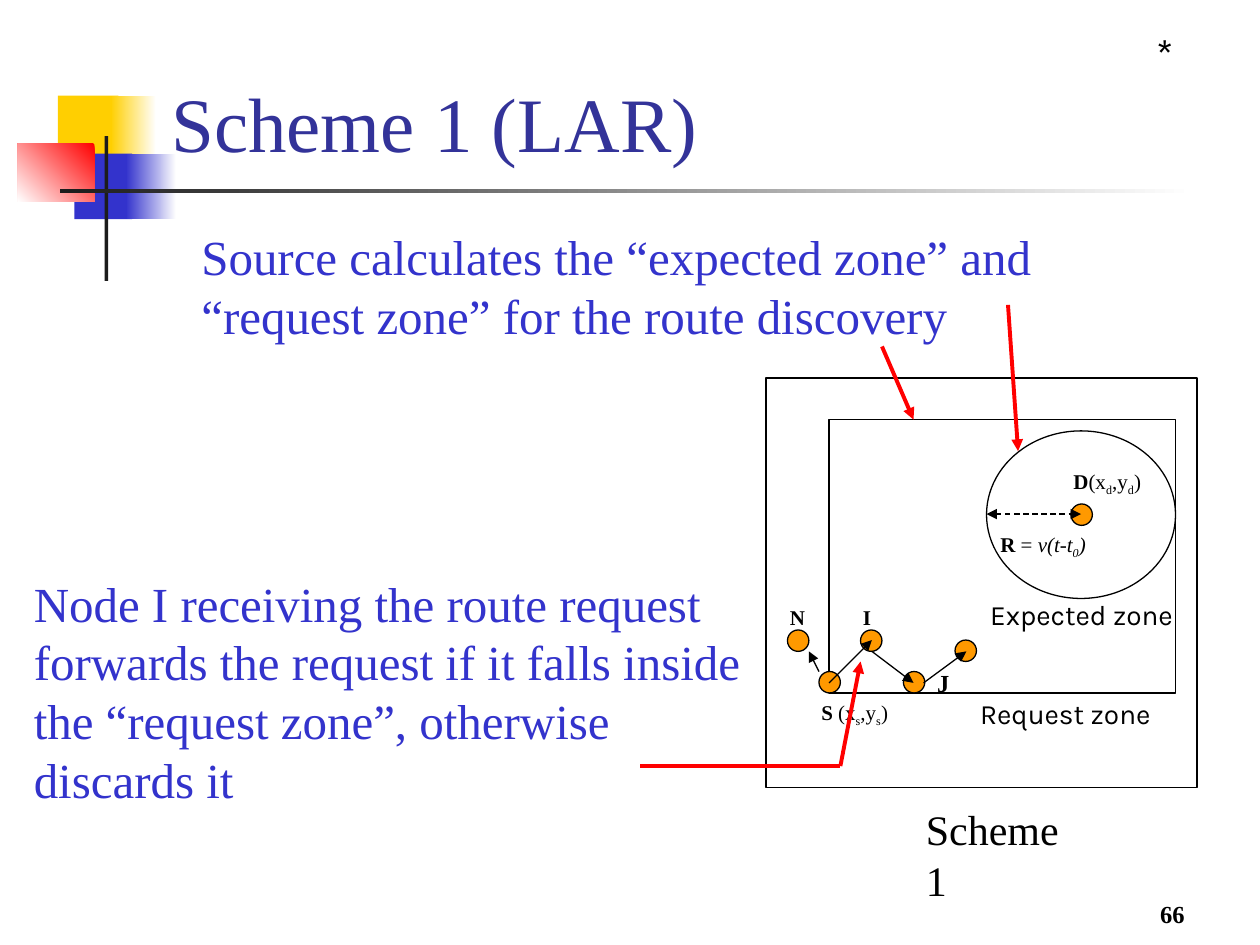
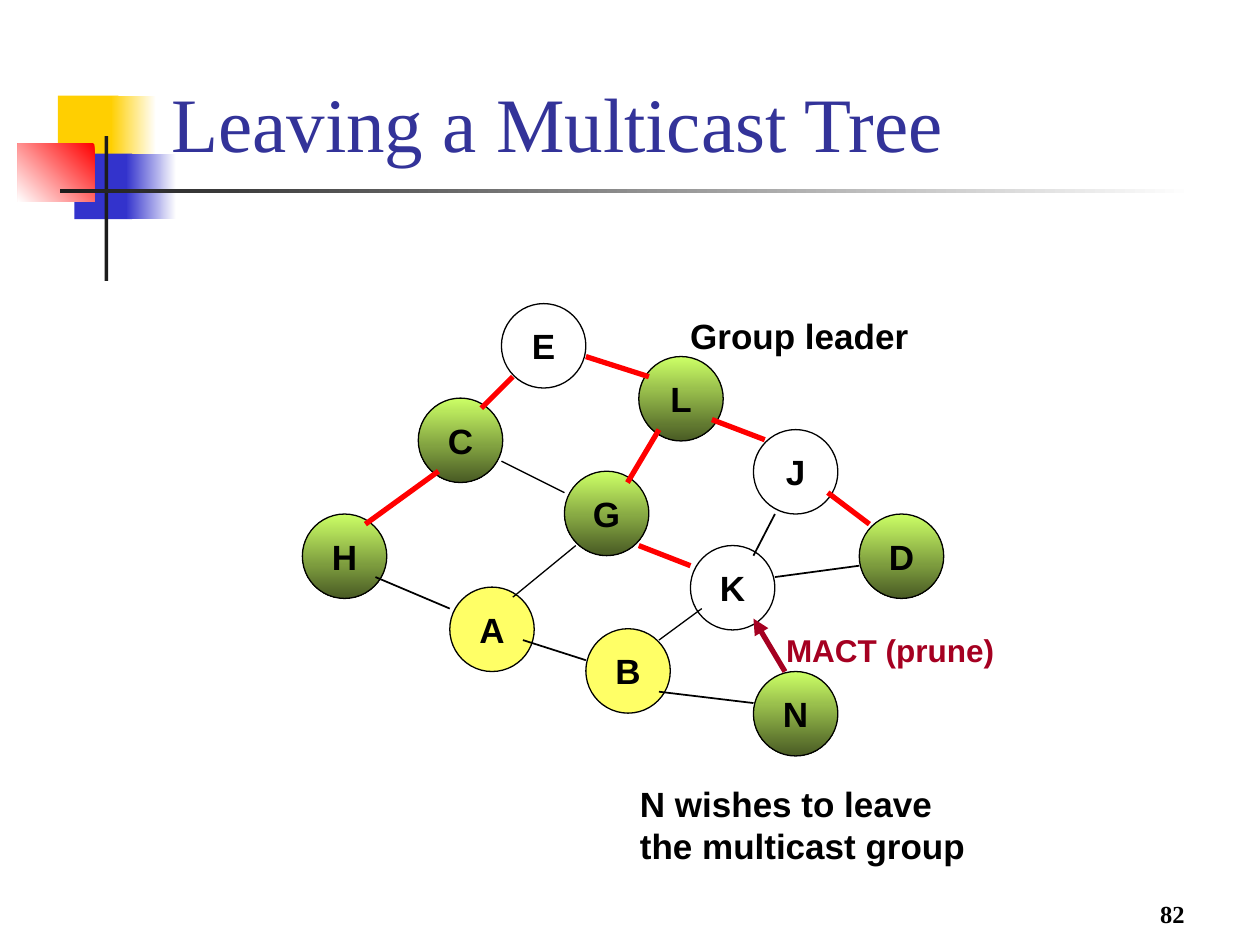
from lxml.etree import SubElement
from pptx import Presentation
from pptx.dml.color import RGBColor
from pptx.enum.dml import MSO_LINE
from pptx.enum.shapes import MSO_CONNECTOR, MSO_SHAPE
from pptx.enum.text import MSO_ANCHOR, MSO_AUTO_SIZE, PP_ALIGN
from pptx.oxml.ns import qn
from pptx.util import Inches, Pt

BLACK = RGBColor(0x00, 0x00, 0x00)
WHITE = RGBColor(0xFF, 0xFF, 0xFF)
CHARCOAL = RGBColor(0x1C, 0x1C, 0x1C)
GOLD = RGBColor(0xFF, 0xCF, 0x01)
BLUE = RGBColor(0x33, 0x33, 0xCC)
NAVY = RGBColor(0x33, 0x33, 0x99)
RED = RGBColor(0xFF, 0x00, 0x00)
CRIMSON = RGBColor(0xA5, 0x00, 0x21)
ORANGE = RGBColor(0xFF, 0x99, 0x00)
YELLOW = RGBColor(0xFF, 0xFF, 0x66)
LIME = RGBColor(0xCC, 0xFF, 0x66)
OLIVE = RGBColor(0x49, 0x5B, 0x24)
SERIF, SANS, LABEL = "Times New Roman", "Arial", "Karla"


def draw_shape(page, preset, at, fill=None, outline=BLACK, angle=0):
    shape = page.shapes.add_shape(preset, *map(Inches, at))
    shape.shadow.inherit = False
    if fill is None:
        shape.fill.background()
    elif isinstance(fill, RGBColor):
        shape.fill.solid()
        shape.fill.fore_color.rgb = fill
    else:
        shape.fill.gradient()
        shape.fill.gradient_angle = angle
        for stop, color in zip(shape.fill.gradient_stops, fill):
            stop.color.rgb = color
    if outline is None:
        shape.line.fill.background()
    else:
        shape.line.color.rgb = outline
        shape.line.width = Pt(0.75)
    return shape


def write_text(frame, lines, size, font, color=BLACK, wrap=True,
               anchor=MSO_ANCHOR.TOP, align=PP_ALIGN.LEFT):
    frame.word_wrap = wrap
    frame.vertical_anchor = anchor
    for index, line in enumerate(lines):
        para = frame.add_paragraph() if index else frame.paragraphs[0]
        para.alignment = align
        for text, style in line:
            span = para.add_run()
            span.text = text
            span.font.name = font
            span.font.size = Pt(size)
            span.font.color.rgb = color
            span.font.bold = "b" in style
            span.font.italic = "i" in style
            if "s" in style:
                span._r.get_or_add_rPr().set("baseline", "-25000")


deck = Presentation()
deck.slide_width = Inches(10)
deck.slide_height = Inches(7.5)

ornaments = [
    ((0.46, 0.76, 0.48, 0.52), GOLD, 0),
    ((0.88, 0.76, 0.36, 0.52), (WHITE, GOLD), 180),
    ((0.59, 1.22, 0.46, 0.52), BLUE, 0),
    ((1, 1.22, 0.4, 0.52), (WHITE, BLUE), 180),
    ((0.14, 1.14, 0.61, 0.46), (RED, WHITE), 225),
    ((0.83, 1.08, 0.03, 1.15), CHARCOAL, 0),
    ((0.48, 1.5, 9, 0.03), (WHITE, CHARCOAL), 180),
]
pages = []
for heading, number in [("Scheme 1 (LAR)", "66"), ("Leaving a Multicast Tree", "82")]:
    page = deck.slides.add_slide(deck.slide_layouts[5])
    pages.append(page)
    for at, fill, angle in ornaments:
        draw_shape(page, MSO_SHAPE.RECTANGLE, at, fill, None, angle)
    title = page.shapes.title
    title.left, title.top, title.width, title.height = map(Inches, (1.26, 0.13, 8.52, 1.25))
    write_text(title.text_frame, [[(heading, "")]], 44, SERIF, NAVY, anchor=MSO_ANCHOR.BOTTOM)
    title.text_frame.auto_size = MSO_AUTO_SIZE.NONE
    footer = page.shapes.add_textbox(*map(Inches, (7.42, 6.92, 2.08, 0.5)))
    write_text(footer.text_frame, [[(number, "b")]], 14, SERIF,
               anchor=MSO_ANCHOR.BOTTOM, align=PP_ALIGN.RIGHT)
zones, tree = pages

draw_shape(zones, MSO_SHAPE.RECTANGLE, (6.08, 3, 3.42, 3.25))
draw_shape(zones, MSO_SHAPE.RECTANGLE, (6.58, 3.33, 2.75, 2.17))
draw_shape(zones, MSO_SHAPE.OVAL, (7.83, 3.42, 1.5, 1.33))
for left, top in [(8.5, 4), (6.83, 5), (7.17, 5.33), (6.25, 5), (6.5, 5.33), (7.58, 5.08)]:
    draw_shape(zones, MSO_SHAPE.OVAL, (left, top, 0.17, 0.17), ORANGE)

GREEN = (LIME, OLIVE)
nodes = [
    ("E", 3.98, 2.41, None), ("L", 5.07, 2.83, GREEN), ("H", 2.4, 4.08, GREEN),
    ("J", 5.98, 3.41, None), ("D", 6.82, 4.08, GREEN), ("C", 3.32, 3.16, GREEN),
    ("G", 4.48, 3.74, GREEN), ("A", 3.57, 4.66, YELLOW), ("B", 4.65, 4.99, YELLOW),
    ("K", 5.48, 4.33, None), ("N", 5.98, 5.33, GREEN),
]
for name, left, top, fill in nodes:
    node = draw_shape(tree, MSO_SHAPE.OVAL, (left, top, 0.67, 0.67), fill, angle=270)
    write_text(node.text_frame, [[(name, "b")]], 20, SANS, wrap=False,
               anchor=MSO_ANCHOR.MIDDLE, align=PP_ALIGN.CENTER)

source_label = [("S", "b"), (" (x", ""), ("s", "s"), (",y", ""), ("s", "s"), (")", "")]
target_label = [("D", "b"), ("(x", ""), ("d", "s"), (",y", ""), ("d", "s"), (")", "")]
radius_label = [("R", "b"), (" = ", ""), ("v(t-t", "i"), ("0", "is"), (")", "i")]
calculation = "Source calculates the “expected zone” and “request zone” for the route discovery"
forwarding = ("Node I receiving the route request forwards the request if it falls inside "
              "the “request zone”, otherwise discards it")
TOP, MIDDLE = MSO_ANCHOR.TOP, MSO_ANCHOR.MIDDLE
captions = [
    (zones, (6.17, 4.75, 0.32, 0.3), [[("N", "b")]], 12, SERIF, BLACK, False, TOP),
    (zones, (6.42, 5.5, 0.92, 0.33), [source_label], 12, SERIF, BLACK, True, TOP),
    (zones, (6.75, 4.75, 0.26, 0.3), [[("I", "b")]], 12, SERIF, BLACK, False, TOP),
    (zones, (7.34, 5.25, 0.3, 0.34), [[("J", "b")]], 14, SERIF, BLACK, False, TOP),
    (zones, (8.42, 3.67, 1.25, 0.33), [target_label], 12, SERIF, BLACK, True, TOP),
    (zones, (7.84, 4.17, 0.88, 0.33), [radius_label], 12, SERIF, BLACK, False, TOP),
    (zones, (7.25, 6.33, 1.5, 0.5), [[("Scheme 1", "")]], 24, SERIF, BLACK, False, TOP),
    (zones, (1.5, 1.75, 8, 1.04), [[(calculation, "")]], 28, SERIF, BLUE, True, TOP),
    (zones, (0.17, 4.5, 5.83, 1.97), [[(forwarding, "")]], 28, SERIF, BLUE, True, TOP),
    (zones, (9.08, 0.17, 0.58, 0.5), [[("*", "")]], 24, LABEL, BLACK, True, TOP),
    (zones, (7.68, 5.48, 1.65, 0.37), [[("Request zone", "")]], 16, LABEL, BLACK, True, TOP),
    (zones, (7.76, 4.69, 1.65, 0.64), [[("Expected zone", "")]], 16, LABEL, BLACK, True, TOP),
    (tree, (5.38, 2.44, 1.93, 0.44), [[("Group leader", "b")]], 20, SANS, BLACK, False, MIDDLE),
    (tree, (4.98, 6.16, 2.78, 0.77),
     [[("N wishes to leave", "b")], [("the multicast group", "b")]],
     20, SANS, BLACK, False, MIDDLE),
    (tree, (6.14, 4.96, 1.85, 0.4), [[("MACT (prune)", "b")]], 18, SANS, CRIMSON, False, MIDDLE),
]
for page, at, lines, size, font, color, wrap, anchor in captions:
    box = page.shapes.add_textbox(*map(Inches, at))
    write_text(box.text_frame, lines, size, font, color, wrap, anchor)
    box.text_frame.auto_size = MSO_AUTO_SIZE.SHAPE_TO_FIT_TEXT

PLAIN, ARROW, DOUBLE = (), ("a:tailEnd",), ("a:headEnd", "a:tailEnd")
links = [
    (zones, BLACK, 0.75, DOUBLE, [(7.83, 4.08, 8.58, 4.08)]),
    (zones, BLACK, 0.75, ARROW, [
        (6.5, 5.33, 6.42, 5.17), (6.58, 5.42, 6.92, 5.08),
        (6.92, 5.17, 7.25, 5.42), (7.33, 5.42, 7.67, 5.17)]),
    (zones, RED, 2.25, ARROW, [
        (7, 2.75, 7.25, 3.33), (8, 2.42, 8.08, 3.58), (6.67, 6.08, 6.83, 5.25)]),
    (zones, RED, 2.25, PLAIN, [(5.08, 6.08, 6.67, 6.08)]),
    (tree, RED, 3, PLAIN, [
        (3.48, 3.74, 2.9, 4.16), (4.07, 2.99, 3.82, 3.24), (4.65, 2.83, 5.15, 2.99),
        (5.23, 3.41, 4.98, 3.83), (5.65, 3.33, 6.07, 3.49), (5.07, 4.33, 5.48, 4.49),
        (6.57, 3.91, 6.9, 4.16)]),
    (tree, BLACK, 0.75, PLAIN, [
        (3.98, 3.66, 4.48, 3.91), (4.57, 4.33, 4.07, 4.74), (5.57, 4.83, 5.23, 5.08)]),
    (tree, BLACK, 1, PLAIN, [
        (2.98, 4.58, 3.57, 4.83), (6.82, 4.49, 6.15, 4.58), (4.65, 5.24, 4.15, 5.08),
        (5.23, 5.49, 5.98, 5.58), (6.15, 4.08, 5.98, 4.41)]),
    (tree, CRIMSON, 3, ARROW, [(6.23, 5.33, 5.98, 4.91)]),
]
for page, color, weight, arrowheads, spans in links:
    for ends in spans:
        link = page.shapes.add_connector(MSO_CONNECTOR.STRAIGHT, *map(Inches, ends))
        link.line.color.rgb = color
        link.line.width = Pt(weight)
        if arrowheads == DOUBLE:
            link.line.dash_style = MSO_LINE.DASH
        for arrowhead in arrowheads:
            SubElement(link.line._get_or_add_ln(), qn(arrowhead), type="triangle")
        SubElement(link._element.spPr, qn("a:effectLst"))

deck.save("out.pptx")
